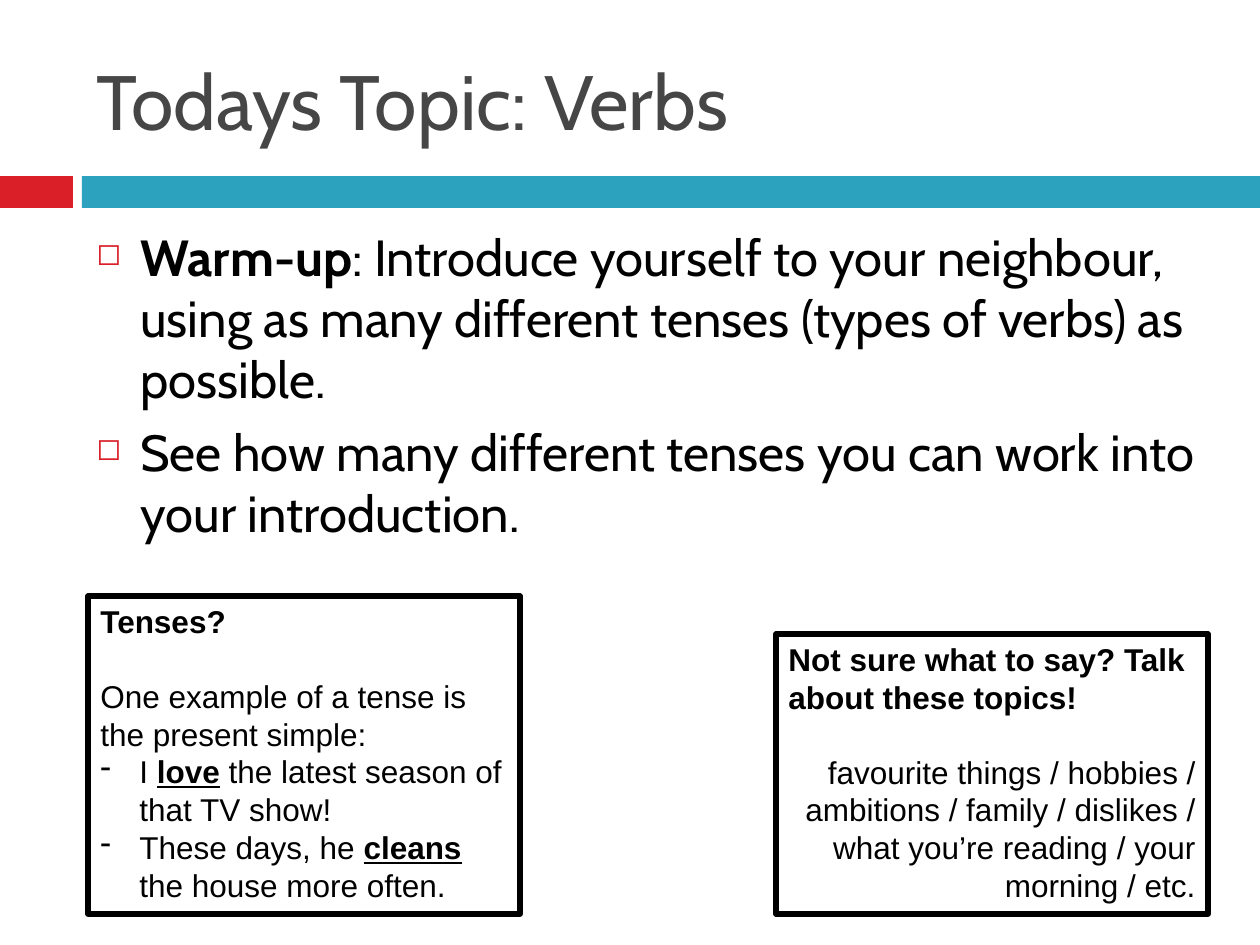
from dataclasses import dataclass

from lxml import etree
from pptx import Presentation, util as u
from pptx.dml.color import RGBColor as Rgb
from pptx.enum import shapes, text
from pptx.oxml.ns import qn


@dataclass(frozen=True)
class Theme:
    red: str = "DA1F28"
    blue: str = "2DA2BF"
    grey: str = "464646"
    black: str = "000000"
    head: str = "Cabin"
    note: str = "Arial"
    title: int = 44
    body: int = 29
    small: int = 18
    gap: int = 7
    skip: int = 21
    edge: int = 3


T = Theme()


def px(n):
    return round(n * u.Inches(1) / 126)


def place(shape, box):
    shape.left, shape.top, shape.width, shape.height = map(px, box)


def block(slide, box):
    rect = slide.shapes.add_shape(shapes.MSO_SHAPE.RECTANGLE, *map(px, box))
    rect.shadow.inherit = False
    return rect


def setup(frame, anchor=text.MSO_ANCHOR.TOP):
    frame.word_wrap = True
    frame.auto_size = text.MSO_AUTO_SIZE.NONE
    frame.vertical_anchor = anchor


def bullet(para, mark, indent, color=None, size=None):
    """Hang a bullet in the paragraph's indent."""
    props = para._p.get_or_add_pPr()
    props.set("marL", str(px(indent)))
    props.set("indent", str(-px(indent)))
    if color:
        tint = etree.SubElement(props, qn("a:buClr"))
        etree.SubElement(tint, qn("a:srgbClr")).set("val", color)
    if size:
        etree.SubElement(props, qn("a:buSzPct")).set("val", str(size * 1000))
    etree.SubElement(props, qn("a:buChar")).set("char", mark)


def write(para, runs, face, size, color=T.black):
    """Add (words, style) runs; style holds b for bold, u for underline."""
    for words, style in runs:
        run = para.add_run()
        run.text = words
        font = run.font
        font.name, font.size = face, u.Pt(size)
        font.color.rgb = Rgb.from_string(color)
        font.bold = "b" in style
        font.underline = "u" in style


def lines(frame, items):
    """Yield a paragraph for each item, using the frame's first one."""
    for i, item in enumerate(items):
        yield i, frame.paragraphs[0] if i == 0 else frame.add_paragraph(), item


def header(slide, box, words):
    title = slide.shapes.title
    place(title, box)
    setup(title.text_frame, text.MSO_ANCHOR.MIDDLE)
    para = title.text_frame.paragraphs[0]
    para.alignment = text.PP_ALIGN.LEFT
    write(para, [(words, "")], T.head, T.title, T.grey)


def band(slide, box):
    """Short red bar, a gap, then a blue bar to the right edge."""
    x, y, w, h = box
    short, start = 73, 82
    for left, wide, color in ((0, short, T.red), (start, w - start, T.blue)):
        bar = block(slide, (x + left, y, wide, h))
        bar.fill.solid()
        bar.fill.fore_color.rgb = Rgb.from_string(color)
        bar.line.fill.background()


def tasks(slide, box, items):
    frame = slide.shapes.add_textbox(*map(px, box)).text_frame
    setup(frame)
    for i, para, runs in lines(frame, items):
        bullet(para, "◻", 44, T.red, 60)
        if i:
            para.space_before = u.Pt(T.gap)
        write(para, runs, T.head, T.body)


def note(slide, box, items, align=text.PP_ALIGN.LEFT):
    """Outlined box: a bold heading, a gap, then (mark, runs) lines."""
    rect = block(slide, box)
    rect.fill.background()
    rect.line.color.rgb = Rgb.from_string(T.black)
    rect.line.width = u.Pt(T.edge)
    setup(rect.text_frame)
    for i, para, (mark, runs) in lines(rect.text_frame, items):
        if mark:
            bullet(para, mark, 39)
        para.alignment = align if i else text.PP_ALIGN.LEFT
        if i == 1:
            para.space_before = u.Pt(T.skip)
        write(para, runs, T.note, T.small)


def main():
    deck = Presentation()
    deck.slide_width, deck.slide_height = px(1260), px(945)
    slide = deck.slides.add_slide(deck.slide_layouts[5])

    # Title and colour band
    band(slide, (0, 176, 1260, 32))
    header(slide, (84, 32, 1124, 136), "Todays Topic: Verbs")

    # Warm-up tasks
    tasks(slide, (84, 220, 1124, 340), [
        [("Warm-up", "b"),
         (": Introduce yourself to your neighbour, using as many different "
          "tenses (types of verbs) as possible.", "")],
        [("See how many different tenses you can work into your "
          "introduction.", "")],
    ])

    # Topic ideas, on the right
    note(slide, (776, 634, 432, 280), [
        ("", [("Not sure what to say? Talk about these topics!", "b")]),
        ("", [("favourite things / hobbies / ambitions / family / dislikes / "
               "what you’re reading / your morning / etc.", "")]),
    ], text.PP_ALIGN.RIGHT)

    # Tense examples, on the left
    note(slide, (88, 596, 432, 318), [
        ("", [("Tenses?", "b")]),
        ("", [("One example of a tense is the present simple:", "")]),
        ("-", [("I ", ""), ("love", "bu"),
               (" the latest season of that TV show!", "")]),
        ("-", [("These days, he ", ""), ("cleans", "bu"),
               (" the house more often.", "")]),
    ])

    deck.save("out.pptx")


if __name__ == "__main__":
    main()
